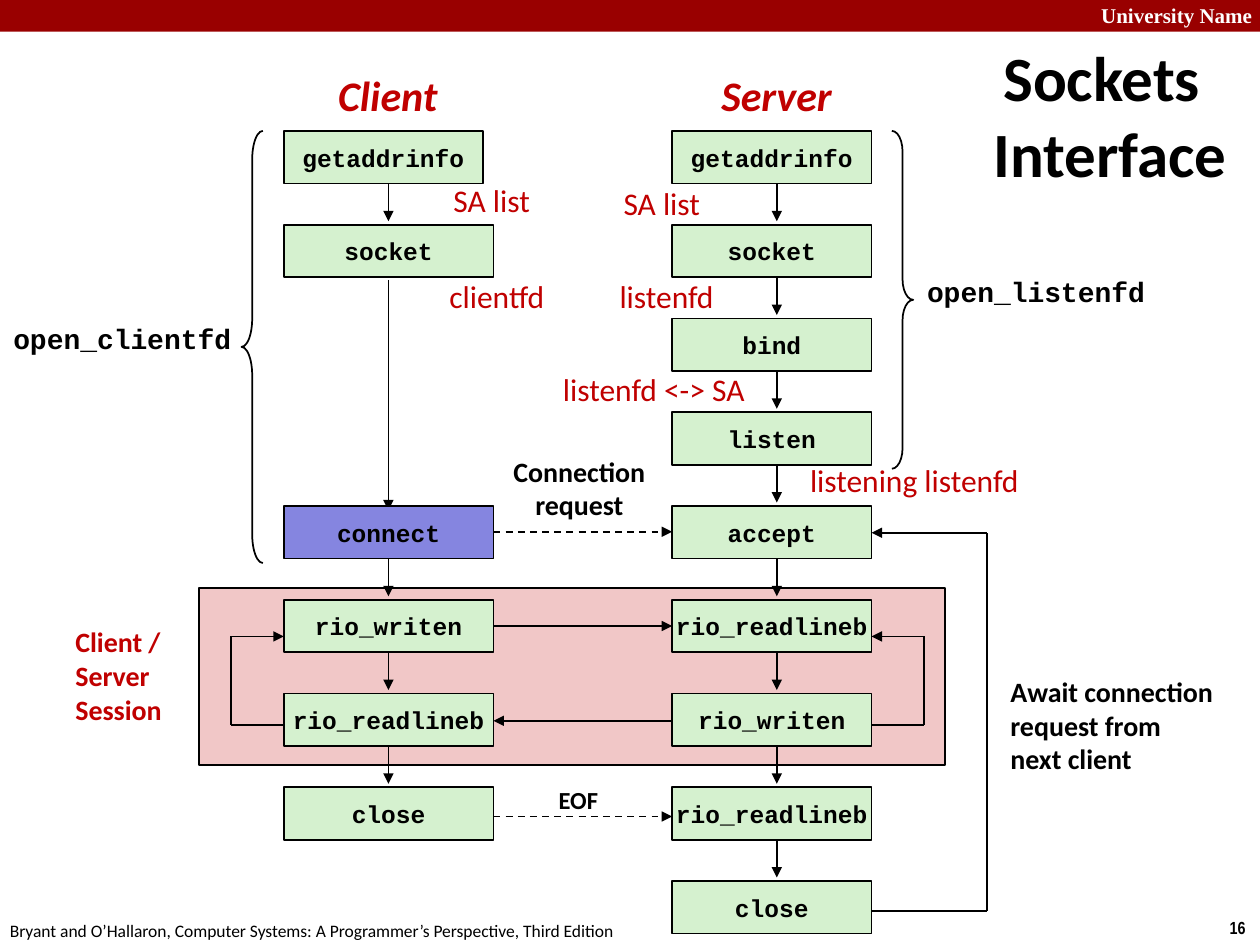
from dataclasses import dataclass

from lxml import etree
from pptx import Presentation
from pptx.dml.color import RGBColor
from pptx.enum import dml, shapes, text
from pptx.oxml import ns
from pptx.util import Cm, Pt

BLACK = RGBColor(0x00, 0x00, 0x00)
WHITE = RGBColor(0xFF, 0xFF, 0xFF)
BANNER = RGBColor(0x99, 0x00, 0x00)
RED = RGBColor(0xC0, 0x00, 0x00)
GREEN = RGBColor(0xD5, 0xF1, 0xCF)
VIOLET = RGBColor(0x85, 0x85, 0xE0)
PINK = RGBColor(0xF1, 0xC7, 0xC7)

# Lengths in centimetres
ROW_TOP, ROW_PITCH, CALL_HEIGHT = 2.64, 1.89, 1.06
CLIENT_LEFT, CLIENT_RIGHT = 5.72, 9.95
SERVER_LEFT, SERVER_RIGHT = 13.55, 17.57
CLIENT_AXIS, SERVER_AXIS = 7.83, 15.66
ARROW_START, ARROW_END = 0.95, 1.82


@dataclass(frozen=True)
class Call:
    """One function call in the client or server column."""
    name: str
    row: int
    left: float = SERVER_LEFT
    width: float = SERVER_RIGHT - SERVER_LEFT
    fill: RGBColor = GREEN


@dataclass(frozen=True)
class Route:
    """A path of straight segments, usually ending in an arrowhead."""
    points: tuple
    dashed: bool = False


@dataclass(frozen=True)
class Label:
    """A free text with its frame and format."""
    words: str
    left: float
    top: float
    width: float
    height: float
    size: int
    color: RGBColor = BLACK
    font: str = "Calibri"
    bold: bool = True
    italic: bool = False
    center: bool = False
    wrap: bool = False
    middle: bool = True


def write(box, words: str, *, size: int, font: str = "Calibri", color=BLACK, bold: bool = True,
          italic: bool = False, center: bool = True, wrap: bool = False, middle: bool = True) -> None:
    """Fill a shape with formatted text, one paragraph per line."""
    frame = box.text_frame
    frame.text = words
    frame.word_wrap = wrap
    frame.vertical_anchor = text.MSO_ANCHOR.MIDDLE if middle else text.MSO_ANCHOR.TOP
    for para in frame.paragraphs:
        para.alignment = text.PP_ALIGN.CENTER if center else text.PP_ALIGN.LEFT
        for span in para.runs:
            span.font.name, span.font.size = font, Pt(size)
            span.font.bold, span.font.italic = bold, italic
            span.font.color.rgb = color


def add_figure(page, kind, left: float, top: float, width: float, height: float,
               fill=None, outlined: bool = True):
    """Add a preset shape with an optional fill and black outline."""
    box = page.shapes.add_shape(kind, Cm(left), Cm(top), Cm(width), Cm(height))
    box.shadow.inherit = False
    if fill is None:
        box.fill.background()
    else:
        box.fill.solid()
        box.fill.fore_color.rgb = fill
    if outlined:
        box.line.color.rgb = BLACK
        box.line.width = Pt(1)
    else:
        box.line.fill.background()
    return box


def add_call(page, call: Call) -> None:
    """Draw one function call box on its row."""
    box = add_figure(page, shapes.MSO_SHAPE.RECTANGLE, call.left,
                     ROW_TOP + call.row * ROW_PITCH, call.width, CALL_HEIGHT, call.fill)
    write(box, call.name, size=14, font="Courier New")


def add_route(page, route: Route) -> None:
    """Draw the segments of a route, with an arrowhead on the last one."""
    segments = list(zip(route.points, route.points[1:]))
    for number, (start, end) in enumerate(segments, 1):
        line = page.shapes.add_connector(shapes.MSO_CONNECTOR.STRAIGHT, *map(Cm, start + end))
        line.line.color.rgb = BLACK
        line.line.width = Pt(1)
        if route.dashed:
            line.line.dash_style = dml.MSO_LINE.DASH
        properties = line.element.spPr
        if number == len(segments):
            outline = properties.find(ns.qn("a:ln"))
            etree.SubElement(outline, ns.qn("a:tailEnd"), type="triangle")
        etree.SubElement(properties, ns.qn("a:effectLst"))


def add_label(page, label: Label) -> None:
    """Add a text box for a label."""
    box = page.shapes.add_textbox(Cm(label.left), Cm(label.top), Cm(label.width), Cm(label.height))
    write(box, label.words, size=label.size, font=label.font, color=label.color, bold=label.bold,
          italic=label.italic, center=label.center, wrap=label.wrap, middle=label.middle)
    box.text_frame.auto_size = text.MSO_AUTO_SIZE.SHAPE_TO_FIT_TEXT


def add_brace(page, kind, left: float, height: float, curve: float) -> None:
    """Add a brace that starts level with the first row."""
    brace = add_figure(page, kind, left, ROW_TOP, 0.43, height)
    brace.adjustments[0] = curve


def add_title(page, words: str) -> None:
    """Place and format the title placeholder."""
    title = page.shapes.title
    title.left, title.top, title.width, title.height = map(Cm, (19.25, 0.64, 5.92, 3.33))
    write(title, words, size=36, wrap=True)
    indents = title.text_frame.paragraphs[0]._p.get_or_add_pPr()
    indents.set("marL", str(Cm(0.33)))
    indents.set("indent", str(-Cm(0.33)))


def step(axis: float, row: int) -> Route:
    """Return the arrow from one row down to the next."""
    top = ROW_TOP + row * ROW_PITCH
    return Route(((axis, top + ARROW_START), (axis, top + ARROW_END)))


def loop(edge: float, outer: float, bottom: float, top: float) -> Route:
    """Return a route leaving an edge sideways and coming back higher up."""
    return Route(((edge, bottom), (outer, bottom), (outer, top), (edge, top)))


SERVER_CALLS = ("getaddrinfo", "socket", "bind", "listen", "accept",
                "rio_readlineb", "rio_writen", "rio_readlineb", "close")
CLIENT_CALLS = {1: "socket", 4: "connect", 5: "rio_writen", 6: "rio_readlineb", 7: "close"}
CALLS = [Call(name, row) for row, name in enumerate(SERVER_CALLS)]
CALLS += [Call(name, row, CLIENT_LEFT, CLIENT_RIGHT - CLIENT_LEFT,
               VIOLET if name == "connect" else GREEN) for row, name in CLIENT_CALLS.items()]
CALLS.append(Call("getaddrinfo", 0, CLIENT_LEFT))

ROUTES = [step(SERVER_AXIS, row) for row in range(len(SERVER_CALLS) - 1)]
ROUTES += [step(CLIENT_AXIS, row) for row in (0, 4, 5, 6)]
ROUTES += [
    Route(((CLIENT_AXIS, 5.64), (CLIENT_AXIS, 10.29))),
    Route(((CLIENT_RIGHT, 10.72), (SERVER_LEFT, 10.72)), dashed=True),
    Route(((CLIENT_RIGHT, 12.62), (SERVER_LEFT, 12.62))),
    Route(((SERVER_LEFT, 14.53), (CLIENT_RIGHT, 14.53))),
    Route(((CLIENT_RIGHT, 16.46), (SERVER_LEFT, 16.46)), dashed=True),
    loop(SERVER_RIGHT, 18.62, 14.61, 12.83),
    loop(CLIENT_LEFT, 4.65, 14.61, 12.83),
    loop(SERVER_RIGHT, 19.9, 18.36, 10.74),
]

LABELS = [
    Label("University Name", 21.95, -0.08, 3.63, 0.76, 12, WHITE, "Times New Roman",
          wrap=True, middle=False),
    Label("16", 24.54, 18.36, 0.86, 0.69, 10, font="Arial Narrow", middle=False),
    Label("Bryant and O’Hallaron, Computer Systems: A Programmer’s Perspective, Third Edition",
          -0.05, 18.42, 12.9, 0.69, 10, bold=False, middle=False),
    Label("Client", 6.55, 1.27, 2.54, 1.27, 24, RED, italic=True, center=True),
    Label("Server", 14.27, 1.27, 2.77, 1.27, 24, RED, italic=True, center=True),
    Label("Client / Server\nSession", 1.27, 12.55, 2.34, 2.13, 16, RED, wrap=True),
    Label("Connection\nrequest", 10.08, 9.02, 3.2, 1.63, 16, center=True),
    Label("EOF", 11, 15.7, 1.32, 0.86, 14, center=True),
    Label("Await connection\nrequest from\nnext client", 20.12, 13.46, 4.65, 2.31, 16, wrap=True),
    Label("open_listenfd", 18.42, 5.41, 4.93, 0.94, 16, font="Courier New", center=True),
    Label("open_clientfd", 0, 6.35, 4.93, 0.94, 16, font="Courier New", center=True),
]
LABELS += [Label(words, left, top, width, 1.02, 18, RED, bold=False, middle=False)
           for words, left, top, width in (
               ("SA list", 8.89, 3.53, 2.06), ("SA list", 12.32, 3.58, 2.06),
               ("clientfd", 8.81, 5.46, 2.51), ("listenfd", 12.24, 5.46, 2.44),
               ("listenfd <-> SA", 11.1, 7.34, 4.22), ("listening listenfd", 16.08, 9.17, 4.88))]

deck = Presentation()
deck.slide_width, deck.slide_height = Cm(25.4), Cm(19.05)
page = deck.slides.add_slide(deck.slide_layouts[5])
add_title(page, "Sockets Interface")
add_figure(page, shapes.MSO_SHAPE.RECTANGLE, 0, 0, 25.4, 0.64, BANNER, outlined=False)
add_figure(page, shapes.MSO_SHAPE.RECTANGLE, 4.01, 11.86, 15.04, 3.56, PINK)
for route in ROUTES:
    add_route(page, route)
for call in CALLS:
    add_call(page, call)
add_brace(page, shapes.MSO_SHAPE.RIGHT_BRACE, 17.98, 6.81, 0.96)
add_brace(page, shapes.MSO_SHAPE.LEFT_BRACE, 4.87, 8.71, 1.33)
for label in LABELS:
    add_label(page, label)
deck.save("out.pptx")
